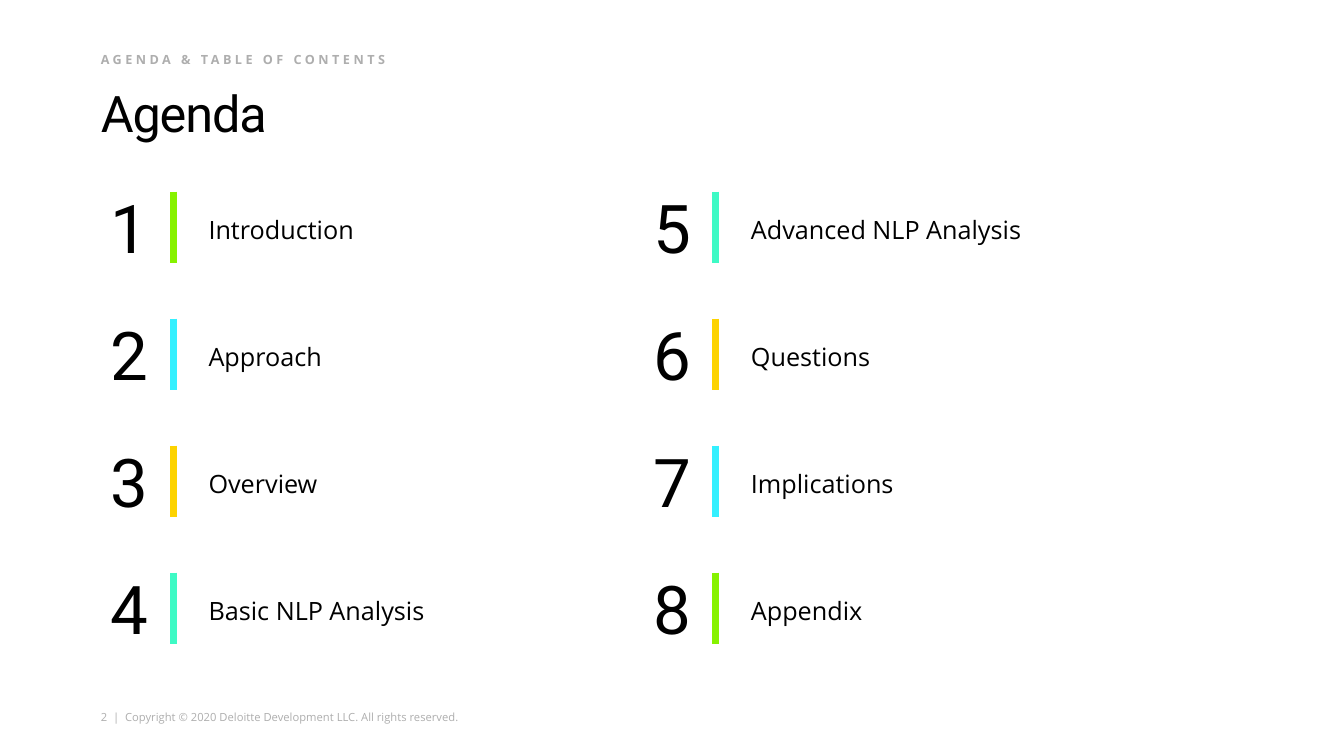
from lxml.etree import SubElement
from pptx import Presentation
from pptx.dml.color import RGBColor
from pptx.enum.shapes import MSO_CONNECTOR
from pptx.enum.text import MSO_ANCHOR
from pptx.oxml.ns import qn
from pptx.util import Inches, Pt

BLACK = RGBColor(0x00, 0x00, 0x00)
GRAY = RGBColor(0xAE, 0xAE, 0xAE)
GREEN = RGBColor(0x86, 0xF2, 0x00)
CYAN = RGBColor(0x34, 0xF0, 0xFF)
YELLOW = RGBColor(0xFD, 0xD3, 0x00)
MINT = RGBColor(0x3E, 0xFA, 0xC5)

AGENDA = [
    ("Introduction", GREEN),
    ("Approach", CYAN),
    ("Overview", YELLOW),
    ("Basic NLP Analysis", MINT),
    ("Advanced NLP Analysis", MINT),
    ("Questions", YELLOW),
    ("Implications", CYAN),
    ("Appendix", GREEN),
]
ROWS = 4
LEFT, TOP = 1, 1.8
COLUMN_STEP, ROW_STEP = 5.38, 1.26


class AgendaSlide:
    heading_font = "Roboto"
    body_font = "Open Sans"

    def __init__(self, presentation):
        self.slide = presentation.slides.add_slide(presentation.slide_layouts[6])

    def text(self, text, left, top, width, height, size, font=body_font, color=BLACK,
             bold=False, inset=0, wrap=True, tracking=0, shapes=None):
        """Add a one-paragraph text box; tracking is letter spacing in points."""
        shapes = shapes or self.slide.shapes
        box = shapes.add_textbox(Inches(left), Inches(top), Inches(width), Inches(height))
        frame = box.text_frame
        frame.word_wrap = wrap
        frame.margin_left = frame.margin_right = Inches(inset)
        frame.margin_top = frame.margin_bottom = Inches(inset / 2)
        paragraph = frame.paragraphs[0]
        run = paragraph.add_run()
        run.text = text
        if tracking:
            run.font._element.set("spc", str(int(tracking * 100)))
        paragraph.font.name = font
        paragraph.font.size = Pt(size)
        paragraph.font.bold = bold
        paragraph.font.color.rgb = color
        return frame

    def title(self, text):
        frame = self.text(text, LEFT, 0.76, 11.33, 0.65, 36, self.heading_font, tracking=-0.8)
        frame.margin_top = Inches(0.05)
        frame.vertical_anchor = MSO_ANCHOR.BOTTOM
        frame.paragraphs[0].line_spacing = 0.8

    def bar(self, shapes, left, top, height, color):
        line = shapes.add_connector(MSO_CONNECTOR.STRAIGHT, Inches(left), Inches(top),
                                    Inches(left), Inches(top + height))
        line.line.color.rgb = color
        line.line.width = Pt(5)
        SubElement(line._element.spPr, qn("a:effectLst"))

    def item(self, number, label, color, left, top):
        """Add a group of number, coloured bar and label."""
        shapes = self.slide.shapes.add_group_shape().shapes
        self.text(str(number), left, top, 0.57, 0.91, 48, self.heading_font,
                  inset=0.1, wrap=False, shapes=shapes)
        self.text(label, left + 0.97, top + 0.28, 3.2, 0.4, 18, inset=0.1, shapes=shapes)
        self.bar(shapes, left + 0.72, top + 0.1, 0.71, color)


def main():
    presentation = Presentation()
    presentation.slide_width = Inches(13.33)
    presentation.slide_height = Inches(7.5)
    agenda = AgendaSlide(presentation)

    agenda.text("2  |  Copyright © 2020 Deloitte Development LLC. All rights reserved.",
                LEFT, 7.05, 3.67, 0.13, 8, color=GRAY)
    agenda.title("Agenda")
    agenda.text("AGENDA & TABLE OF CONTENTS", LEFT, 0.51, 3.67, 0.22, 9,
                color=GRAY, bold=True, tracking=2.5)
    for index, (label, color) in enumerate(AGENDA):
        column, row = divmod(index, ROWS)
        agenda.item(index + 1, label, color,
                    LEFT + column * COLUMN_STEP, TOP + row * ROW_STEP)
    presentation.save("out.pptx")


if __name__ == "__main__":
    main()
